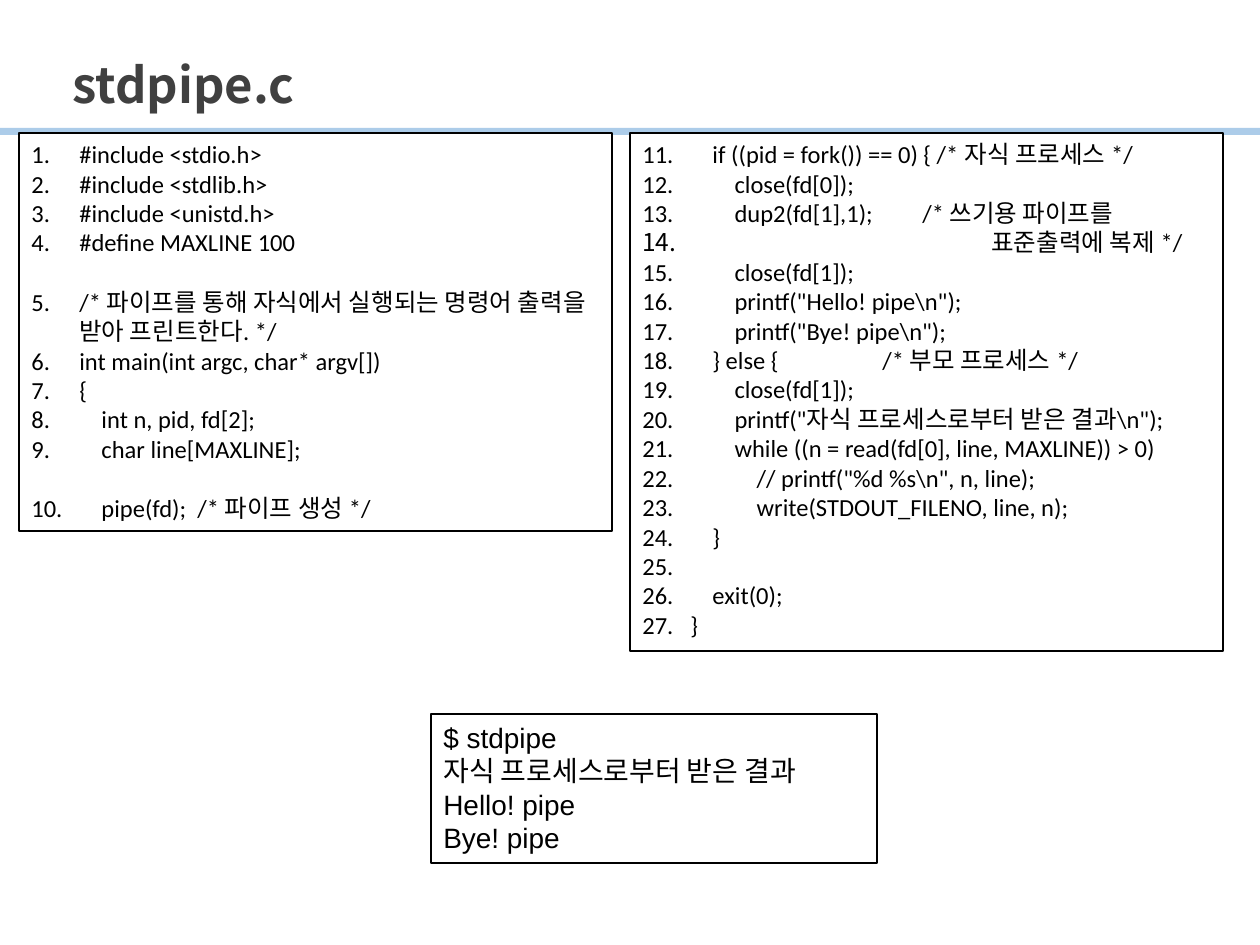
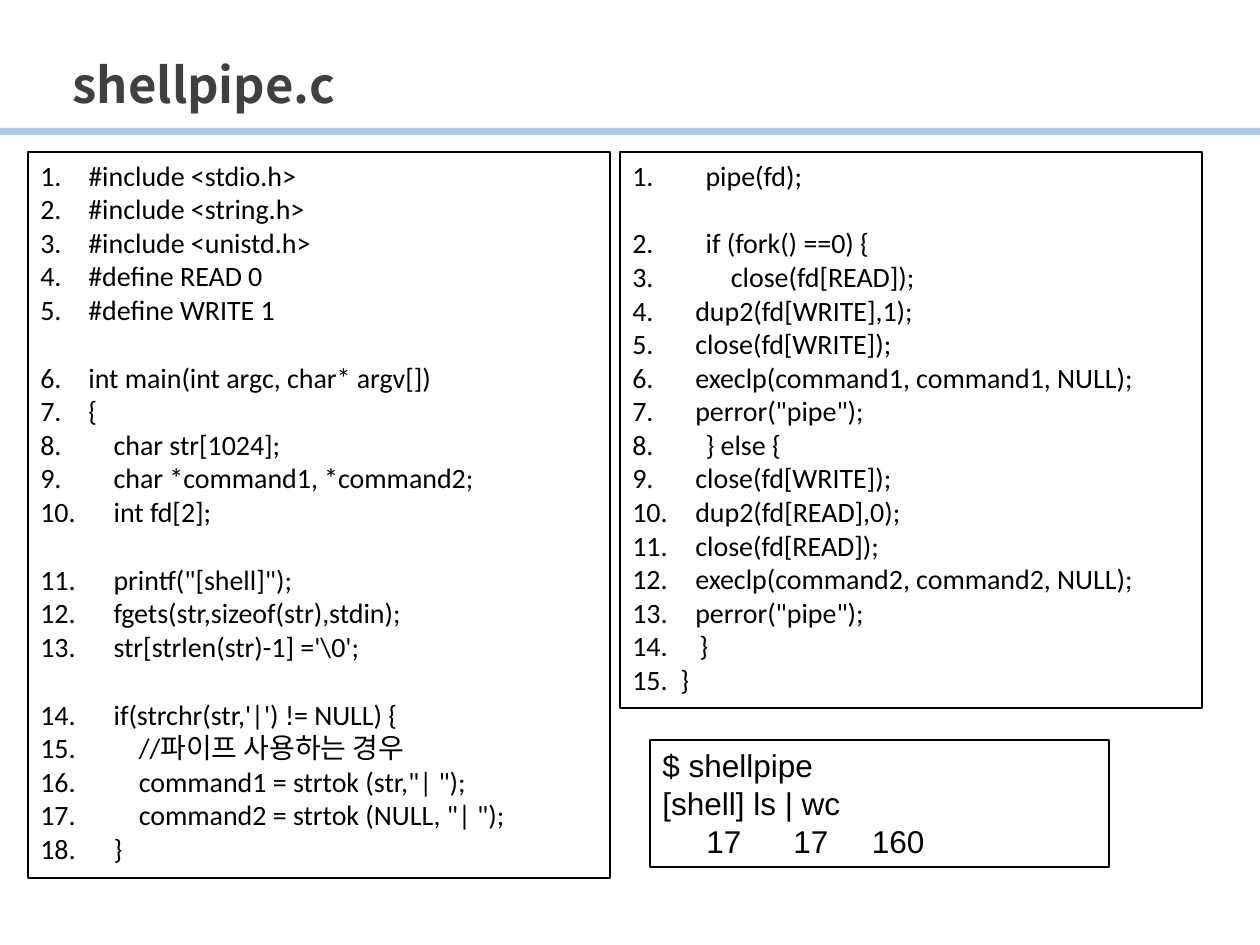
"""Build two slides that list pipe programs in C beside their output."""
from lxml.etree import SubElement
from pptx import Presentation
from pptx.dml.color import RGBColor
from pptx.enum.shapes import MSO_SHAPE
from pptx.enum.text import MSO_ANCHOR, MSO_AUTO_SIZE, PP_ALIGN
from pptx.oxml.ns import qn
from pptx.util import Pt

BLACK = RGBColor(0x00, 0x00, 0x00)
WHITE = RGBColor(0xFF, 0xFF, 0xFF)
TITLE_GRAY = RGBColor(0x40, 0x40, 0x40)
BAND_BLUE = RGBColor(0x5B, 0x9B, 0xD5)
TITLE_FONT, CODE_FONT, OUTPUT_FONT = "Noto Sans CJK KR", "Calibri", "Arial"

WIDTH, HEIGHT = 1260, 945
TITLE_AREA = (60, 19, 1142, 101)
BAND_AREA = (0, 128, WIDTH, 7)
NUMBER_WIDTH = 48
TAB_WIDTH = 63
SPACE_PER_POINT = 0.395
LINE_PER_POINT = 1.22

SLIDES = [
    {
        "title": "stdpipe.c",
        "code_size": 14,
        "listings": [
            {"area": (19, 133, 593, 398), "start": 1, "lines": [
                "#include <stdio.h>",
                "#include <stdlib.h>",
                "#include <unistd.h>",
                "#define MAXLINE 100",
                "",
                "/* 파이프를 통해 자식에서 실행되는 명령어 출력을 받아 프린트한다. */",
                "int main(int argc, char* argv[])",
                "{",
                "    int n, pid, fd[2];",
                "    char line[MAXLINE];",
                "",
                "    pipe(fd);  /* 파이프 생성 */",
            ]},
            {"area": (630, 133, 593, 518), "start": 11, "lines": [
                "    if ((pid = fork()) == 0) { /* 자식 프로세스 */",
                "        close(fd[0]);",
                ("        dup2(fd[1],1);\t/* 쓰기용 파이프를", 280),
                ("\t표준출력에 복제 */", 349),
                "        close(fd[1]);",
                r'        printf("Hello! pipe\n");',
                r'        printf("Bye! pipe\n");',
                ("    } else {\t/* 부모 프로세스 */", 240),
                "        close(fd[1]);",
                r'        printf("자식 프로세스로부터 받은 결과\n");',
                "        while ((n = read(fd[0], line, MAXLINE)) > 0)",
                r'            // printf("%d %s\n", n, line);',
                "            write(STDOUT_FILENO, line, n);",
                "    }",
                " ",
                "    exit(0);",
                "}",
            ]},
        ],
        "output": {"area": (431, 714, 446, 149), "size": 16, "tabs": (), "lines": [
            "$ stdpipe",
            "자식 프로세스로부터 받은 결과",
            "Hello! pipe",
            "Bye! pipe",
        ]},
    },
    {
        "title": "shellpipe.c",
        "code_size": 16,
        "listings": [
            {"area": (28, 152, 582, 726), "start": 1, "lines": [
                "#include <stdio.h>",
                "#include <string.h>",
                "#include <unistd.h>",
                "#define READ 0",
                "#define WRITE 1",
                "",
                "int main(int argc, char* argv[])",
                "{",
                "    char str[1024];",
                "    char *command1, *command2;",
                "    int fd[2];",
                "",
                '    printf("[shell]");',
                "    fgets(str,sizeof(str),stdin);",
                r"    str[strlen(str)-1] ='\0';",
                "",
                "    if(strchr(str,'|') != NULL) {",
                "        //파이프 사용하는 경우",
                '        command1 = strtok (str,"| ");',
                '        command2 = strtok (NULL, "| ");',
                "    }",
            ]},
            {"area": (620, 152, 582, 556), "start": 1, "lines": [
                "    pipe(fd);",
                "",
                "    if (fork() ==0) {",
                "        close(fd[READ]);",
                "\tdup2(fd[WRITE],1);",
                "\tclose(fd[WRITE]);",
                "\texeclp(command1, command1, NULL);",
                '\tperror("pipe");',
                "    } else {",
                "\tclose(fd[WRITE]);",
                "\tdup2(fd[READ],0);",
                "\tclose(fd[READ]);",
                "\texeclp(command2, command2, NULL);",
                '\tperror("pipe");',
                "   }",
                "}",
            ]},
        ],
        "output": {"area": (650, 740, 459, 127), "size": 18, "tabs": (79, 166, 262), "lines": [
            "$ shellpipe",
            "[shell] ls | wc",
            "\t17\t17\t160",
        ]},
    },
]


def px(length):
    return round(length * 914400 / 126)


def place(shape, area):
    shape.left, shape.top, shape.width, shape.height = map(px, area)


def write(paragraph, text, *, size, font, color=BLACK, bold=False, margin=0,
          space_before=0, number_from=None, tabs=(), tab_align="l"):
    paragraph.alignment = PP_ALIGN.LEFT
    run = paragraph.add_run()
    run.text = text
    run.font.size = Pt(size)
    run.font.name = font
    run.font.bold = bold
    run.font.color.rgb = color
    if space_before:
        paragraph.space_before = Pt(space_before)
    properties = paragraph._p.get_or_add_pPr()
    if number_from:
        properties.set("marL", str(px(margin)))
        properties.set("indent", str(-px(margin)))
        numbering = SubElement(properties, qn("a:buAutoNum"), type="arabicPeriod")
        if number_from > 1:
            numbering.set("startAt", str(number_from))
    if tabs:
        tab_list = SubElement(properties, qn("a:tabLst"))
        for position in tabs:
            SubElement(tab_list, qn("a:tab"), pos=str(px(position)), algn=tab_align)


def add_box(slide, area):
    box = slide.shapes.add_shape(MSO_SHAPE.RECTANGLE, *map(px, area))
    box.shadow.inherit = False
    box.fill.solid()
    box.fill.fore_color.rgb = WHITE
    box.line.color.rgb = BLACK
    box.line.width = Pt(1)
    frame = box.text_frame
    frame.word_wrap = True
    frame.auto_size = MSO_AUTO_SIZE.SHAPE_TO_FIT_TEXT
    frame.vertical_anchor = MSO_ANCHOR.TOP
    return frame


def next_paragraph(frame):
    first = frame.paragraphs[0]
    return frame.add_paragraph() if first.runs else first


def add_listing(slide, size, area, start, lines):
    frame = add_box(slide, area)
    gap = 0
    for line in lines:
        if line == "":
            gap = round(size * LINE_PER_POINT, 1)
            continue
        text, tab = line if isinstance(line, tuple) else (line, TAB_WIDTH)
        code = text.lstrip()
        spaces = len(text) - len(code)
        margin = tab if text.startswith("\t") else NUMBER_WIDTH + spaces * size * SPACE_PER_POINT
        write(next_paragraph(frame), code or " ", size=size, font=CODE_FONT, margin=margin,
              space_before=gap, number_from=start, tabs=(tab,) if "\t" in code else ())
        gap = 0


def add_output(slide, area, size, tabs, lines):
    frame = add_box(slide, area)
    for line in lines:
        write(next_paragraph(frame), line, size=size, font=OUTPUT_FONT,
              tabs=tabs if "\t" in line else (), tab_align="r")


def add_band(slide, layout):
    band = slide.shapes.add_shape(MSO_SHAPE.RECTANGLE, *map(px, BAND_AREA))
    band.shadow.inherit = False
    band.fill.solid()
    band.fill.fore_color.rgb = BAND_BLUE
    color = band.fill._xPr.find(qn("a:solidFill")).find(qn("a:srgbClr"))
    SubElement(color, qn("a:alpha"), val="50000")
    band.line.fill.background()
    layout.shapes.element.append(band.element)


def add_title(slide, text):
    frame = slide.shapes.title.text_frame
    frame.vertical_anchor = MSO_ANCHOR.BOTTOM
    paragraph = frame.paragraphs[0]
    paragraph.line_spacing = 0.9
    write(paragraph, text, size=28, font=TITLE_FONT, color=TITLE_GRAY, bold=True)


def main():
    presentation = Presentation()
    presentation.slide_width, presentation.slide_height = px(WIDTH), px(HEIGHT)
    layout = presentation.slide_layouts[5]
    place(layout.placeholders[0], TITLE_AREA)
    for index, content in enumerate(SLIDES):
        slide = presentation.slides.add_slide(layout)
        if index == 0:
            add_band(slide, layout)
        add_title(slide, content["title"])
        for listing in content["listings"]:
            add_listing(slide, content["code_size"], **listing)
        add_output(slide, **content["output"])
    presentation.save("out.pptx")


if __name__ == "__main__":
    main()
